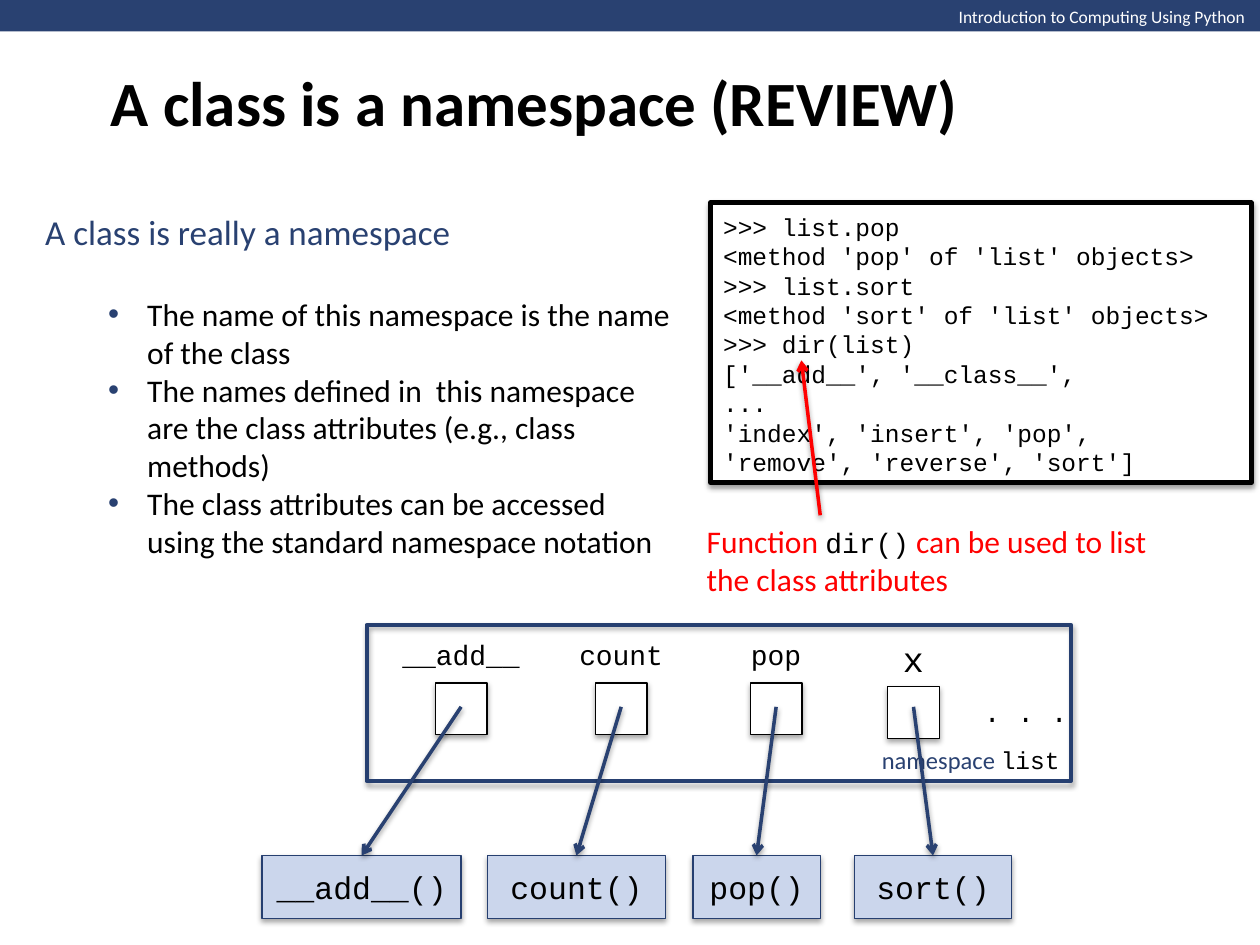
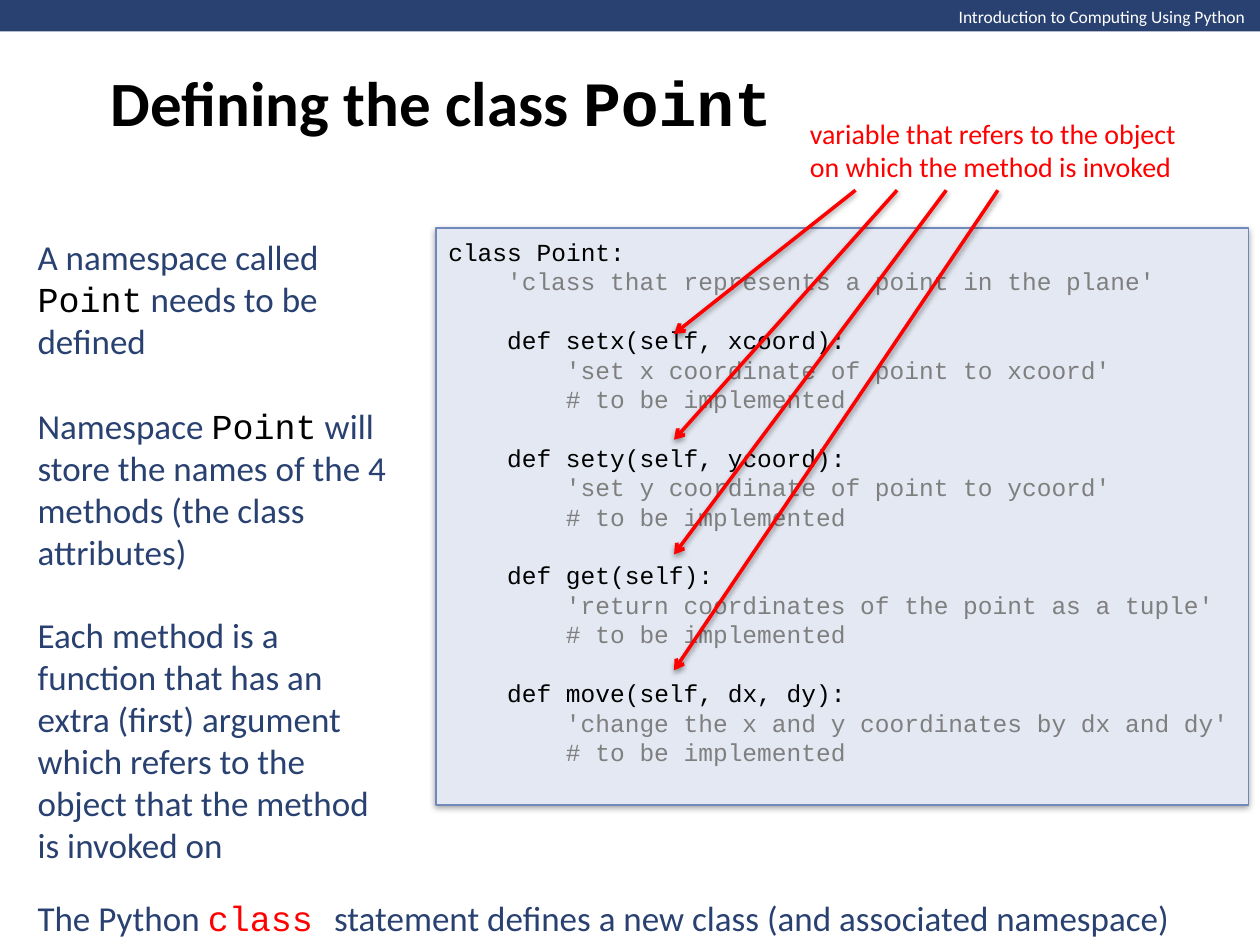
from typing import NamedTuple

from lxml.etree import SubElement
from pptx import Presentation
from pptx.dml.color import RGBColor
from pptx.enum.shapes import MSO_CONNECTOR as LINK, MSO_SHAPE as SHAPE
from pptx.enum.text import MSO_ANCHOR as ANCHOR, PP_ALIGN as ALIGN
from pptx.oxml.ns import qn
from pptx.util import Inches, Pt

COLORS = {
    "navy": "294171", "edge": "263F70", "pale": "CBD6EC", "mist": "E3E8F2",
    "steel": "7088BA", "grey": "7F7F7F", "red": "FF0000",
    "black": "000000", "white": "FFFFFF",
}
SANS, MONO = "Calibri", "Courier New"
COLS, ROWS = 100, 75  # grid of the slide, one cell is 0.1 inch


def unit(cells):
    return Inches(cells / 10)


def color(name):
    return RGBColor.from_string(COLORS[name])


class Box(NamedTuple):
    """Left, top, width and height in grid cells."""
    x: float
    y: float
    w: float
    h: float

    def inner(self, dx, dy, w, h):
        return Box(self.x + dx, self.y + dy, w, h)

    def place(self):
        return [unit(side) for side in self]


# ---------- shared helpers ----------

def style(run, size, font, tint, bold=False):
    run.font.size, run.font.name, run.font.bold = Pt(size), font, bold
    run.font.color.rgb = color(tint)


def fill_line(para, line, size, tint="navy", code_size=None,
              code_tint="black", bold=False):
    """Write a line, with the parts between backticks set as code."""
    for i, piece in enumerate(line.split("`")):
        if not piece:
            continue
        run = para.add_run()
        run.text = piece
        if i % 2:
            style(run, code_size or size, MONO, code_tint, bold)
        else:
            style(run, size, SANS, tint, bold)


def write(frame, lines, size, align=ALIGN.LEFT, **look):
    frame.word_wrap = True
    frame.vertical_anchor = ANCHOR.MIDDLE
    for i, line in enumerate(lines):
        para = frame.add_paragraph() if i else frame.paragraphs[0]
        para.alignment = align
        fill_line(para, line, size, **look)
    return frame.paragraphs


def add_text(slide, box, lines, size, **look):
    return write(slide.shapes.add_textbox(*box.place()).text_frame,
                 lines, size, **look)


def cast(props, alpha, dist):
    """Give the effect list of a shape a soft shadow straight below."""
    effects = props.find(qn("a:effectLst"))
    if effects is None:
        effects = SubElement(props, qn("a:effectLst"))
    shade = SubElement(effects, qn("a:outerShdw"), blurRad="40000",
                       dist=str(dist), dir="5400000", rotWithShape="0")
    tone = SubElement(shade, qn("a:srgbClr"), val=COLORS["black"])
    SubElement(tone, qn("a:alpha"), val=str(alpha * 1000))


def add_rect(slide, box, fill=None, line=None, width=0.75, shadow=(35, 23000)):
    rect = slide.shapes.add_shape(SHAPE.RECTANGLE, *box.place())
    rect.shadow.inherit = False
    if fill:
        rect.fill.solid()
        rect.fill.fore_color.rgb = color(fill)
    else:
        rect.fill.background()
    if line:
        rect.line.color.rgb = color(line)
        rect.line.width = Pt(width)
    else:
        rect.line.fill.background()
    if shadow:
        cast(rect._element.spPr, *shadow)
    return rect


def add_arrow(slide, start, end, tint):
    link = slide.shapes.add_connector(
        LINK.STRAIGHT, *[unit(v) for v in (*start, *end)])
    link.line.color.rgb = color(tint)
    link.line.width = Pt(2)
    props = link._element.spPr
    SubElement(props.find(qn("a:ln")), qn("a:tailEnd"), type="arrow")
    cast(props, 38, 20000)


def add_code(slide, box, rows, **look):
    """Code panel; each row is (indent level, text, colour, gap above)."""
    panel = add_rect(slide, box, shadow=(38, 20000), **look)
    frame = panel.text_frame
    frame.word_wrap = True
    frame.vertical_anchor = ANCHOR.TOP
    frame.margin_top = Inches(0.07)
    for i, (level, text, tint, gap) in enumerate(rows):
        para = frame.add_paragraph() if i else frame.paragraphs[0]
        para.text = text
        para.alignment = ALIGN.LEFT
        style(para.runs[0], 14, MONO, tint)
        if gap:
            para.space_before = Pt(16.8)
        if level:
            para._p.get_or_add_pPr().set("marL", str(Pt(33.6 * level)))


def add_slide(deck, title):
    slide = deck.slides.add_slide(deck.slide_layouts[5])
    add_rect(slide, Box(0, 0, COLS, 2.5), fill="navy", shadow=None)
    add_text(slide, Box(75.1, 0, 24.9, 2.7),
             ["Introduction to Computing Using Python"], 10, tint="white")
    head = slide.shapes.title
    head.left, head.top, head.width, head.height = Box(7.8, 0, 87.2, 16.1).place()
    write(head.text_frame, [title], 36, tint="black", bold=True)
    return slide


# ---------- class as a namespace ----------

def add_points(slide, box):
    head, *points = add_text(slide, box, [
        "A class is really a namespace",
        "The name of this namespace is the name of the class",
        "The names defined in  this namespace are the class attributes "
        "(e.g., class methods)",
        "The class attributes can be accessed using the standard namespace "
        "notation"], 18, tint="black")
    style(head.runs[0], 20, SANS, "navy")
    points[0].space_before = Pt(24.4)
    for point in points:
        props = point._p.get_or_add_pPr()
        props.set("marL", str(Inches(0.81)))
        props.set("indent", str(Inches(-0.31)))
        mark = SubElement(props, qn("a:buClr"))
        SubElement(mark, qn("a:srgbClr"), val=COLORS["navy"])
        SubElement(props, qn("a:buFont"), typeface="Arial")
        SubElement(props, qn("a:buChar"), char="•")


def add_session(slide, box):
    lines = [">>> list.pop", "<method 'pop' of 'list' objects>",
             ">>> list.sort", "<method 'sort' of 'list' objects>",
             ">>> dir(list)", "['__add__', '__class__',", "...",
             "'index', 'insert', 'pop', 'remove', 'reverse', 'sort']"]
    add_code(slide, box, [(0, line, "black", False) for line in lines],
             fill="white", line="black", width=3)
    add_text(slide, box.inner(-1.3, 24.8, 39, 7.1),
             ["Function `dir()` can be used to list", "the class attributes"],
             18, tint="red", code_size=16)
    add_arrow(slide, (box.x + 8.7, box.y + 24.8),
              (box.x + 7.2, box.y + 12.5), "red")


def add_names(slide, box):
    """Namespace frame whose cells point to the methods below it."""
    add_rect(slide, box, line="edge", width=2.25)
    add_text(slide, box.inner(39.9, 9, 17, 3.4), ["namespace `list`"], 14)
    add_text(slide, box.inner(48, 5, 8.8, 3.7), ["`. . .`"], 16)
    # name, method, centre of cell, left and width of method, size, drop
    names = [("__add__", "__add__()", 7.5, -8.3, 15.8, 16, 0),
             ("count", "count()", 20.2, 9.6, 14.1, 16, 0),
             ("pop", "pop()", 32.5, 25.9, 10.1, 16, 0),
             ("x", "sort()", 43.4, 38.7, 12.5, 20, 0.3)]
    side, foot = 4.1, 18.3
    for name, method, mid, left, width, size, drop in names:
        add_text(slide, box.inner(mid - 7.3, 0.5, 14.6, 3.7 + 2 * drop),
                 [f"`{name}`"], size, align=ALIGN.CENTER)
        add_rect(slide, box.inner(mid - side / 2, 4.6 + drop, side, side),
                 fill="white", line="black")
        tile = add_rect(slide, box.inner(left, foot, width, 5),
                        fill="pale", line="edge")
        write(tile.text_frame, [f"`{method}`"], 18, align=ALIGN.CENTER)
        add_arrow(slide, (box.x + mid, box.y + 6.5),
                  (box.x + left + width / 2, box.y + foot), "navy")


def review_slide(deck):
    slide = add_slide(deck, "A class is a namespace (REVIEW)")
    add_names(slide, Box(29.1, 49.6, 55.9, 12.4))
    add_points(slide, Box(2.6, 16.1, 52.2, 28.9))
    add_session(slide, Box(56.4, 16.1, 42.9, 22.2))


# ---------- defining the class ----------

def add_notes(slide, box):
    first = add_text(slide, box.inner(0, 0, 31, 27.9), [
        "A namespace called `Point` needs to be defined",
        "Namespace `Point` will store the names of the 4 methods (the class",
        "attributes)"], 20)
    first[1].space_before = Pt(24.4)
    add_text(slide, box.inner(0, 30, 29.1, 21.2), [
        "Each method is a function that has an extra (first) argument",
        "which refers to the object that the method is invoked on"], 20)
    add_text(slide, box.inner(0, 52.5, box.w, 4.4), [
        "The Python `class `statement defines a new class "
        "(and associated namespace)"], 20, code_tint="red")


def add_source(slide, box):
    rows = [(0, "class Point:", "black", False),
            (1, "'class that represents a point in the plane'", "grey", False)]
    methods = [("setx(self, xcoord)", "set x coordinate of point to xcoord"),
               ("sety(self, ycoord)", "set y coordinate of point to ycoord"),
               ("get(self)", "return coordinates of the point as a tuple"),
               ("move(self, dx, dy)",
                "change the x and y coordinates by dx and dy")]
    for call, doc in methods:
        rows += [(1, f"def {call}:", "black", True),
                 (2, f"'{doc}'", "grey", False),
                 (2, "# to be implemented", "grey", False)]
    add_code(slide, box, rows, fill="mist", line="steel")


def add_callout(slide, box):
    add_text(slide, box, ["variable that refers to the object",
                          "on which the method is invoked"], 16, tint="red")
    for start, drop in [(4.6, 11.4), (7.9, 19.8), (11.8, 28.9), (15.9, 38.1)]:
        base = box.y + box.h
        add_arrow(slide, (box.x + start, base), (box.x - 9.8, base + drop), "red")


def point_slide(deck):
    slide = add_slide(deck, "Defining the class `Point`")
    add_notes(slide, Box(2, 18.1, 96, 56.9))
    add_source(slide, Box(34.6, 18.1, 64.5, 45.8))
    add_callout(slide, Box(63.3, 8.7, 33, 6.4))


def main():
    deck = Presentation()
    deck.slide_width, deck.slide_height = unit(COLS), unit(ROWS)
    review_slide(deck)
    point_slide(deck)
    deck.save("out.pptx")


if __name__ == "__main__":
    main()
